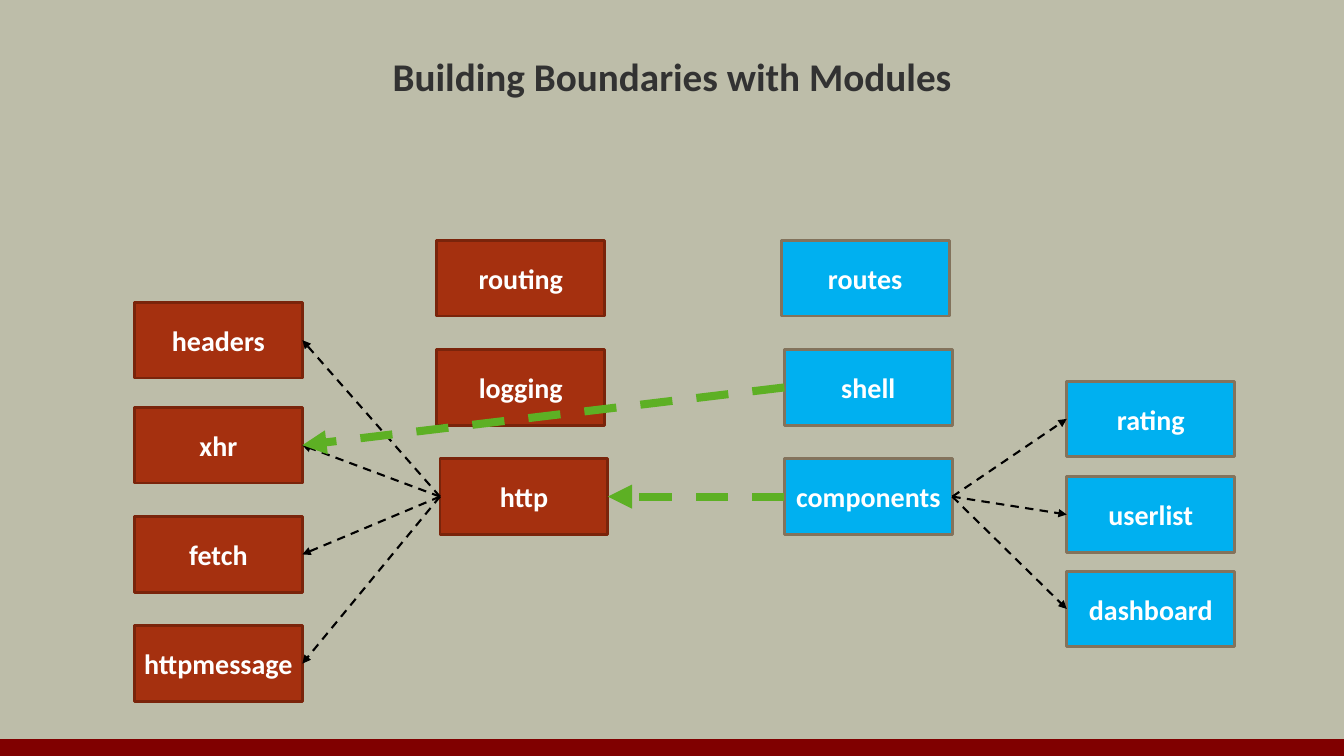
from dataclasses import dataclass

import pptx
import pptx.dml.color
import pptx.enum.dml
import pptx.enum.shapes
import pptx.enum.text
import pptx.oxml.ns
import pptx.util
from lxml import etree
from pptx.shapes.autoshape import Shape
from pptx.shapes.connector import Connector
from pptx.slide import Slide

EMU_PER_PX = 9525
SLIDE_WIDTH, SLIDE_HEIGHT = 1280, 720
MODULE_WIDTH, MODULE_HEIGHT = 160, 72
FONT = "Calibri"
COLORS = {
    "background": "BDBDA9",
    "title": "323232",
    "footer": "800000",
    "label": "FFFFFF",
    "library": "A5300F",
    "library_edge": "7A240B",
    "app": "00B0F0",
    "app_edge": "83735C",
    "internal": "000000",
    "cross": "5DB024",
}
LEFT_SIDE, RIGHT_SIDE = 1, 3


@dataclass(frozen=True)
class Module:
    name: str
    left: int
    top: int
    family: str


@dataclass(frozen=True)
class Dependency:
    source: str
    source_side: int
    target: str
    target_side: int
    color: str
    weight: float


MODULES = [
    Module("routing", 416, 229, "library"),
    Module("logging", 416, 333, "library"),
    Module("http", 419, 437, "library"),
    Module("routes", 744, 229, "app"),
    Module("shell", 747, 333, "app"),
    Module("components", 747, 437, "app"),
    Module("headers", 128, 288, "library"),
    Module("xhr", 128, 388, "library"),
    Module("fetch", 128, 492, "library"),
    Module("httpmessage", 128, 596, "library"),
    Module("rating", 1016, 363, "app"),
    Module("userlist", 1016, 454, "app"),
    Module("dashboard", 1016, 544, "app"),
]
DEPENDENCIES = [
    *(Dependency("http", LEFT_SIDE, part, RIGHT_SIDE, "internal", 1.5)
      for part in ("headers", "xhr", "fetch", "httpmessage")),
    *(Dependency("components", RIGHT_SIDE, part, LEFT_SIDE, "internal", 1.5)
      for part in ("rating", "userlist", "dashboard")),
    Dependency("components", LEFT_SIDE, "http", RIGHT_SIDE, "cross", 5.75),
    Dependency("shell", LEFT_SIDE, "xhr", RIGHT_SIDE, "cross", 5.75),
]


def px(length: int) -> pptx.util.Emu:
    return pptx.util.Emu(length * EMU_PER_PX)


def rgb(name: str) -> pptx.dml.color.RGBColor:
    return pptx.dml.color.RGBColor.from_string(COLORS[name])


def write_centred(shape: Shape, text: str, size: int, color: str, wrap: bool) -> None:
    frame = shape.text_frame
    frame.word_wrap = wrap
    frame.vertical_anchor = pptx.enum.text.MSO_ANCHOR.MIDDLE
    paragraph = frame.paragraphs[0]
    paragraph.text = text
    paragraph.alignment = pptx.enum.text.PP_ALIGN.CENTER
    paragraph.font.name = FONT
    paragraph.font.size = pptx.util.Pt(size)
    paragraph.font.bold = True
    paragraph.font.color.rgb = rgb(color)


def add_line(slide: Slide, start: tuple[int, int], end: tuple[int, int],
             color: str, weight: float) -> Connector:
    line = slide.shapes.add_connector(
        pptx.enum.shapes.MSO_CONNECTOR.STRAIGHT, *map(px, start + end))
    line.line.color.rgb = rgb(color)
    line.line.width = pptx.util.Pt(weight)
    etree.SubElement(line._element.spPr, pptx.oxml.ns.qn("a:effectLst"))
    return line


def add_module(slide: Slide, module: Module) -> Shape:
    box = slide.shapes.add_shape(
        pptx.enum.shapes.MSO_SHAPE.RECTANGLE, px(module.left), px(module.top),
        px(MODULE_WIDTH), px(MODULE_HEIGHT))
    box.shadow.inherit = False
    box.fill.solid()
    box.fill.fore_color.rgb = rgb(module.family)
    box.line.color.rgb = rgb(f"{module.family}_edge")
    box.line.width = pptx.util.Pt(2)
    write_centred(box, module.name, 20, "label", wrap=False)
    return box


def add_dependency(slide: Slide, dependency: Dependency, boxes: dict[str, Shape]) -> None:
    arrow = add_line(slide, (0, 0), (0, 0), dependency.color, dependency.weight)
    arrow.begin_connect(boxes[dependency.source], dependency.source_side)
    arrow.end_connect(boxes[dependency.target], dependency.target_side)
    arrow.line.dash_style = pptx.enum.dml.MSO_LINE.DASH
    etree.SubElement(arrow.line._get_or_add_ln(),
                     pptx.oxml.ns.qn("a:tailEnd"), type="triangle")


def main() -> None:
    presentation = pptx.Presentation()
    presentation.slide_width = px(SLIDE_WIDTH)
    presentation.slide_height = px(SLIDE_HEIGHT)
    slide = presentation.slides.add_slide(presentation.slide_layouts[6])
    slide.background.fill.solid()
    slide.background.fill.fore_color.rgb = rgb("background")

    add_line(slide, (0, 712), (SLIDE_WIDTH, 712), "footer", 12)
    title = slide.shapes.add_textbox(px(64), px(32), px(1152), px(80))
    write_centred(title, "Building Boundaries with Modules", 28, "title", wrap=True)

    boxes = {module.name: add_module(slide, module) for module in MODULES}
    for dependency in DEPENDENCIES:
        add_dependency(slide, dependency, boxes)

    presentation.save("out.pptx")


if __name__ == "__main__":
    main()
